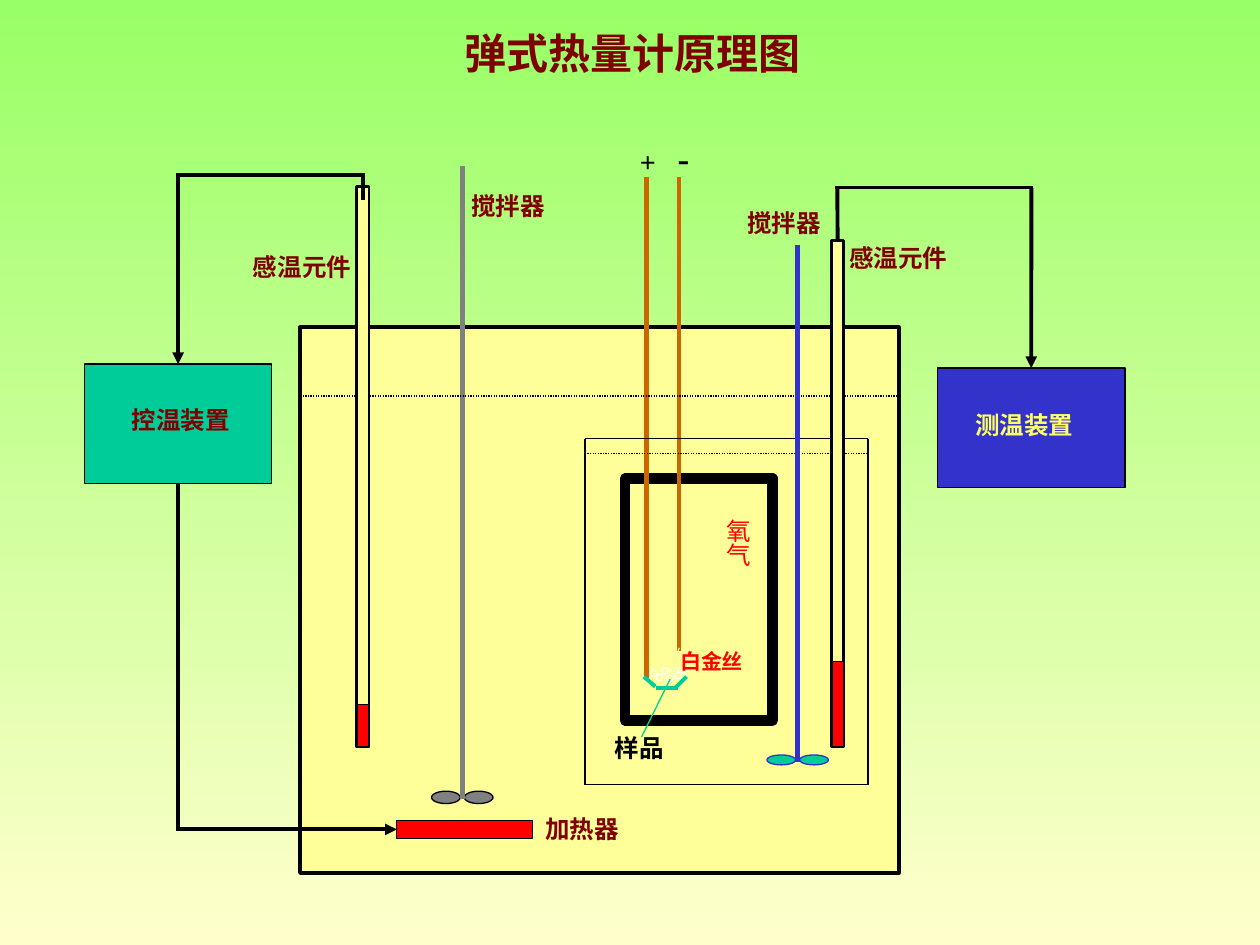
from lxml.etree import SubElement
from pptx import Presentation
from pptx.dml.color import RGBColor
from pptx.enum.dml import MSO_LINE
from pptx.enum.shapes import MSO_CONNECTOR, MSO_SHAPE
from pptx.enum.text import MSO_AUTO_SIZE, PP_ALIGN
from pptx.oxml.ns import qn
from pptx.util import Cm, Pt

FONT = "Times New Roman"
BLACK = RGBColor(0x00, 0x00, 0x00)
WHITE = RGBColor(0xFF, 0xFF, 0xFF)
GREEN = RGBColor(0x99, 0xFF, 0x66)
CREAM = RGBColor(0xFF, 0xFF, 0xCC)
PALE_YELLOW = RGBColor(0xFF, 0xFF, 0x99)
LABEL_YELLOW = RGBColor(0xFF, 0xFF, 0x66)
MAROON = RGBColor(0x80, 0x00, 0x00)
RED = RGBColor(0xFF, 0x00, 0x00)
TEAL = RGBColor(0x00, 0xCC, 0x99)
BLUE = RGBColor(0x33, 0x33, 0xCC)
GRAY = RGBColor(0x80, 0x80, 0x80)
COPPER = RGBColor(0xCC, 0x66, 0x00)

# text, left, top, width, height, format
LABELS = [
    ("弹式热量计原理图", 1.2, 0.43, 23.09, 1.27,
     {"size": 24, "align": PP_ALIGN.CENTER}),
    ("控温装置", 2.41, 8.05, 2.5, 0.86, {}),
    ("测温装置", 19.41, 8.15, 2.5, 0.86, {"color": LABEL_YELLOW}),
    ("加热器", 10.74, 16.28, 2.5, 0.86, {}),
    ("搅拌器", 9.25, 3.73, 2.5, 0.86, {}),
    ("搅拌器", 14.81, 4.06, 2.04, 0.86, {}),
    ("感温元件", 4.85, 4.95, 2.5, 0.86, {}),
    ("感温元件", 16.87, 4.78, 2.5, 0.86, {}),
    ("样品", 12.14, 14.66, 2.59, 0.86, {"color": BLACK}),
    ("白金丝", 13.46, 12.95, 2.06, 0.76, {"size": 12, "color": RED}),
    ("氧气", 14.22, 10.21, 1.09, 1.56,
     {"color": RED, "bold": False, "vertical": True}),
    ("+", 12.65, 2.79, 1.04, 0.94, {"size": 16, "color": BLACK}),
    ("-", 13.41, 2.62, 1.04, 1.12, {"size": 20, "color": BLACK}),
]


def add_text(slide, text, left, top, width, height, *, size=14, color=MAROON,
             bold=True, align=PP_ALIGN.LEFT, vertical=False):
    box = slide.shapes.add_textbox(Cm(left), Cm(top), Cm(width), Cm(height))
    frame = box.text_frame
    frame.word_wrap = True
    frame.auto_size = MSO_AUTO_SIZE.SHAPE_TO_FIT_TEXT
    if vertical:
        frame._txBody.bodyPr.set("vert", "eaVert")
        frame.margin_left = frame.margin_right = Cm(0.13)
        frame.margin_top = frame.margin_bottom = Cm(0.25)
    paragraph = frame.paragraphs[0]
    paragraph.alignment = align
    run = paragraph.add_run()
    run.text = text
    run.font.name = FONT
    run.font.size = Pt(size)
    run.font.bold = bold
    run.font.color.rgb = color


def add_block(slide, left, top, width, height, fill, line=BLACK, weight=0.75,
              kind=MSO_SHAPE.RECTANGLE):
    shape = slide.shapes.add_shape(kind, Cm(left), Cm(top), Cm(width), Cm(height))
    shape.shadow.inherit = False
    shape.fill.solid()
    shape.fill.fore_color.rgb = fill
    shape.line.color.rgb = line
    shape.line.width = Pt(weight)
    return shape


def add_line(slide, x1, y1, x2, y2, color=BLACK, weight=2.25, *, dotted=False,
             arrow=False, start=None, end=None):
    """Draw a straight line; start and end are (shape, site) joints."""
    connector = slide.shapes.add_connector(
        MSO_CONNECTOR.STRAIGHT, Cm(x1), Cm(y1), Cm(x2), Cm(y2))
    connector.line.color.rgb = color
    connector.line.width = Pt(weight)
    if dotted:
        connector.line.dash_style = MSO_LINE.ROUND_DOT
    if arrow:
        SubElement(connector.line._get_or_add_ln(), qn("a:tailEnd"), type="triangle")
    SubElement(connector._element.spPr, qn("a:effectLst"))
    if start:
        connector.begin_connect(*start)
    if end:
        connector.end_connect(*end)


def add_stirrer(slide, x, top, bottom, blade_height, rod, blade, outline):
    for left in (x - 0.62, x + 0.04):
        add_block(slide, left, bottom - 0.15, 0.58, blade_height, blade, outline,
                  kind=MSO_SHAPE.OVAL)
    add_line(slide, x, top, x, bottom, rod, 3)


def add_thermometer(slide, left, top, height, bulb_height):
    tube = add_block(slide, left, top, 0.25, height, PALE_YELLOW, weight=1.5)
    add_block(slide, left + 0.02, top + height - bulb_height, 0.23, bulb_height, RED)
    return tube


def add_bomb(slide):
    add_block(slide, 12.6, 9.65, 2.97, 4.88, PALE_YELLOW, weight=6)
    add_line(slide, 13.03, 3.56, 13.03, 13.67, COPPER, 3)
    for x1, y1, x2, y2 in [(12.98, 13.64, 13.21, 13.84),
                           (13.23, 13.87, 13.67, 13.87),
                           (13.84, 13.64, 13.61, 13.87)]:
        add_line(slide, x1, y1, x2, y2, TEAL)
    for left, top in [(13.34, 13.46), (13.54, 13.46), (13.61, 13.56), (13.44, 13.61),
                      (13.23, 13.59), (13.11, 13.51), (13.74, 13.46)]:
        add_block(slide, left, top, 0.13, 0.13, PALE_YELLOW, WHITE, kind=MSO_SHAPE.OVAL)
    add_line(slide, 13.69, 3.56, 13.69, 13.13, COPPER)
    add_line(slide, 13.69, 13.06, 13.51, 13.67, PALE_YELLOW, 0.75)


def add_jacket(slide, left=11.79, top=8.84, right=17.5, bottom=15.82):
    for x in (left, right):
        add_line(slide, x, top, x, bottom, weight=0.75)
    for y in (top, bottom):
        add_line(slide, left, y, right, y, weight=0.75)
    add_line(slide, left, top + 0.3, right, top + 0.3, weight=0.75, dotted=True)


def add_heating_circuit(slide):
    add_thermometer(slide, 7.19, 3.76, 11.3, 0.86)
    heater = add_block(slide, 8, 16.54, 2.74, 0.36, RED)
    controller = add_block(slide, 1.7, 7.34, 3.78, 2.41, TEAL)
    add_line(slide, 7.32, 3.49, 7.32, 4.04)
    add_line(slide, 7.36, 3.53, 3.55, 3.53)
    add_line(slide, 3.59, 3.53, 3.59, 7.34, arrow=True, end=(controller, 0))
    add_line(slide, 3.59, 9.75, 3.59, 16.72, start=(controller, 2))
    add_line(slide, 3.55, 16.72, 8, 16.72, arrow=True, end=(heater, 1))


def add_measuring_circuit(slide):
    thermometer = add_thermometer(slide, 16.76, 4.85, 10.21, 1.73)
    meter = add_block(slide, 18.9, 7.42, 3.78, 2.41, BLUE)
    add_line(slide, 16.88, 4.85, 16.88, 3.78, start=(thermometer, 0))
    add_line(slide, 16.84, 3.78, 20.83, 3.78)
    add_line(slide, 20.79, 3.78, 20.79, 7.42, arrow=True, end=(meter, 0))


def set_background(slide):
    fill = slide.background.fill
    fill.gradient()
    fill.gradient_angle = 270
    for stop, color in zip(fill.gradient_stops, (GREEN, CREAM)):
        stop.color.rgb = color


def main():
    presentation = Presentation()
    presentation.slide_width = Cm(25.4)
    presentation.slide_height = Cm(19.05)
    slide = presentation.slides.add_slide(presentation.slide_layouts[6])
    set_background(slide)

    add_block(slide, 6.05, 6.6, 12.07, 11, PALE_YELLOW, weight=2.25)
    add_bomb(slide)
    add_stirrer(slide, 9.32, 3.35, 16.1, 0.25, GRAY, GRAY, BLACK)
    add_line(slide, 6.05, 7.98, 18.08, 7.98, weight=0.75, dotted=True)
    add_heating_circuit(slide)
    add_jacket(slide)
    add_measuring_circuit(slide)
    add_stirrer(slide, 16.08, 4.93, 15.37, 0.2, BLUE, TEAL, BLUE)
    add_line(slide, 12.93, 14.86, 13.51, 13.69, TEAL, 0.75)
    for text, left, top, width, height, text_format in LABELS:
        add_text(slide, text, left, top, width, height, **text_format)

    presentation.save("out.pptx")


if __name__ == "__main__":
    main()
